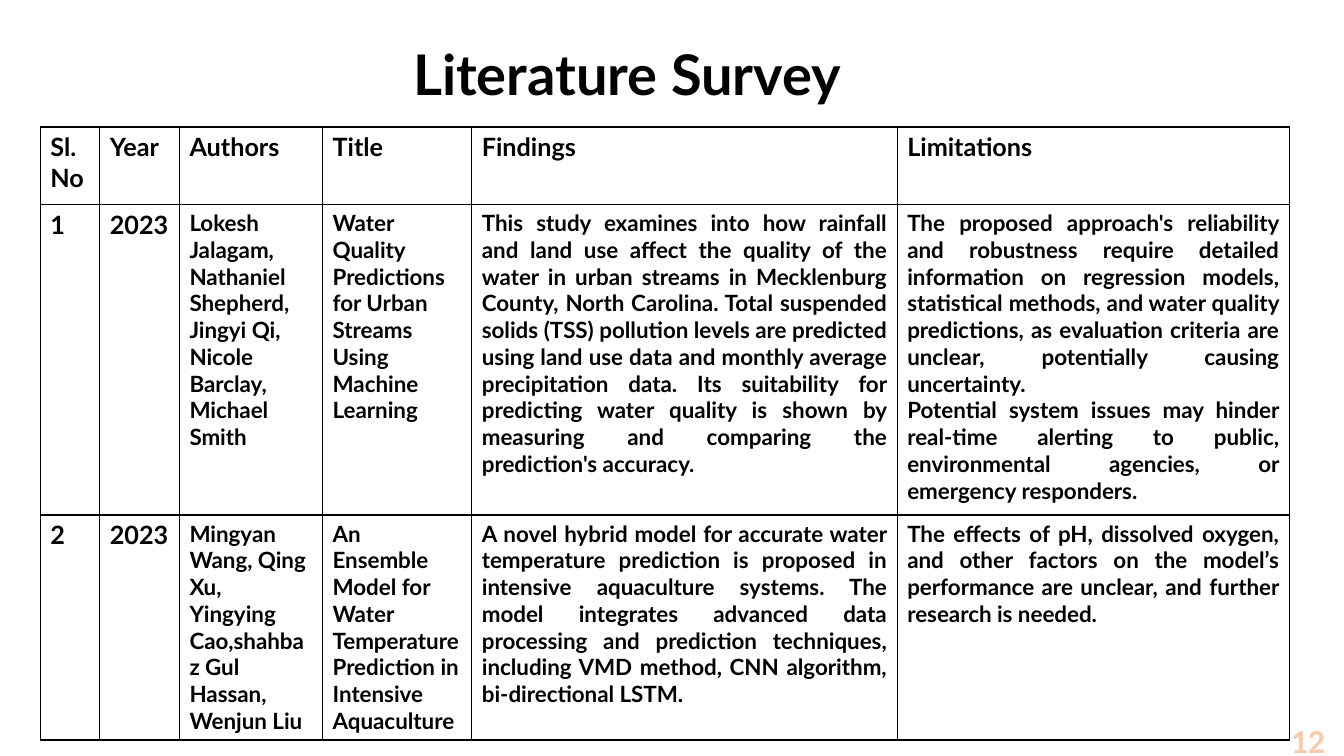
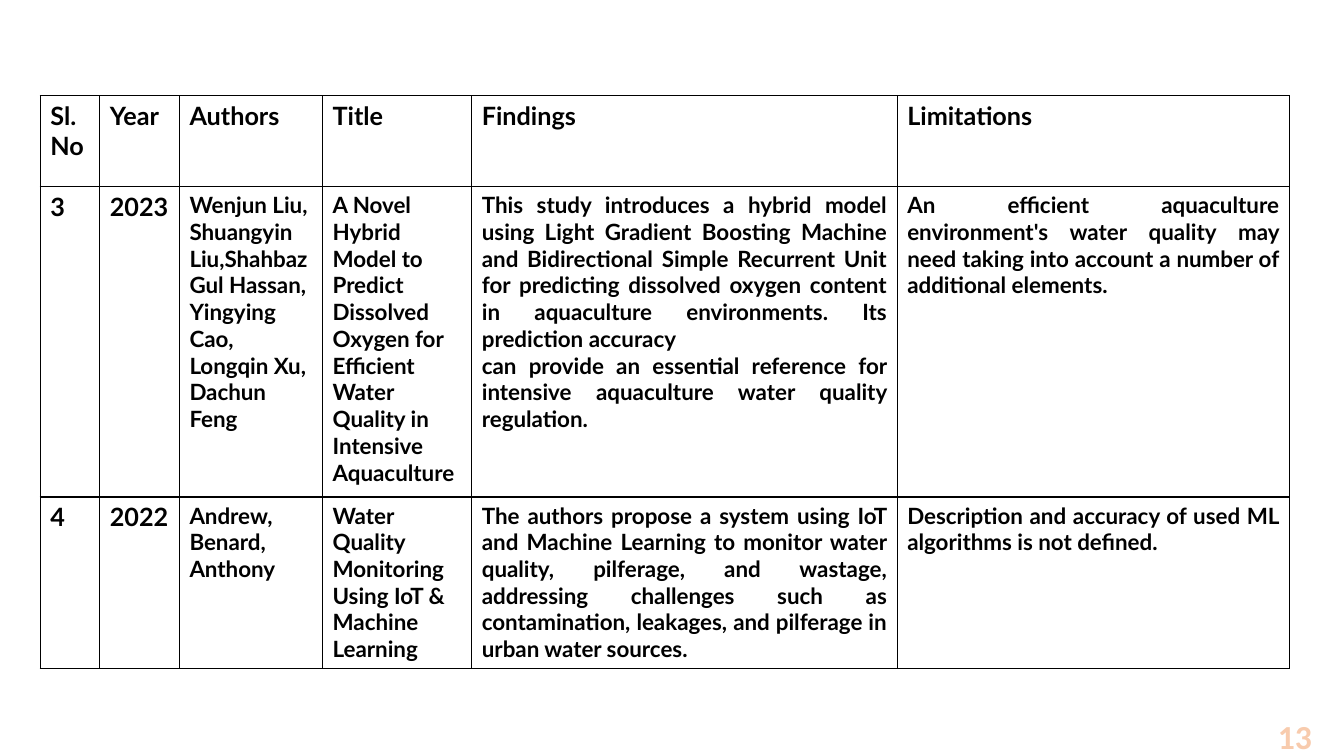
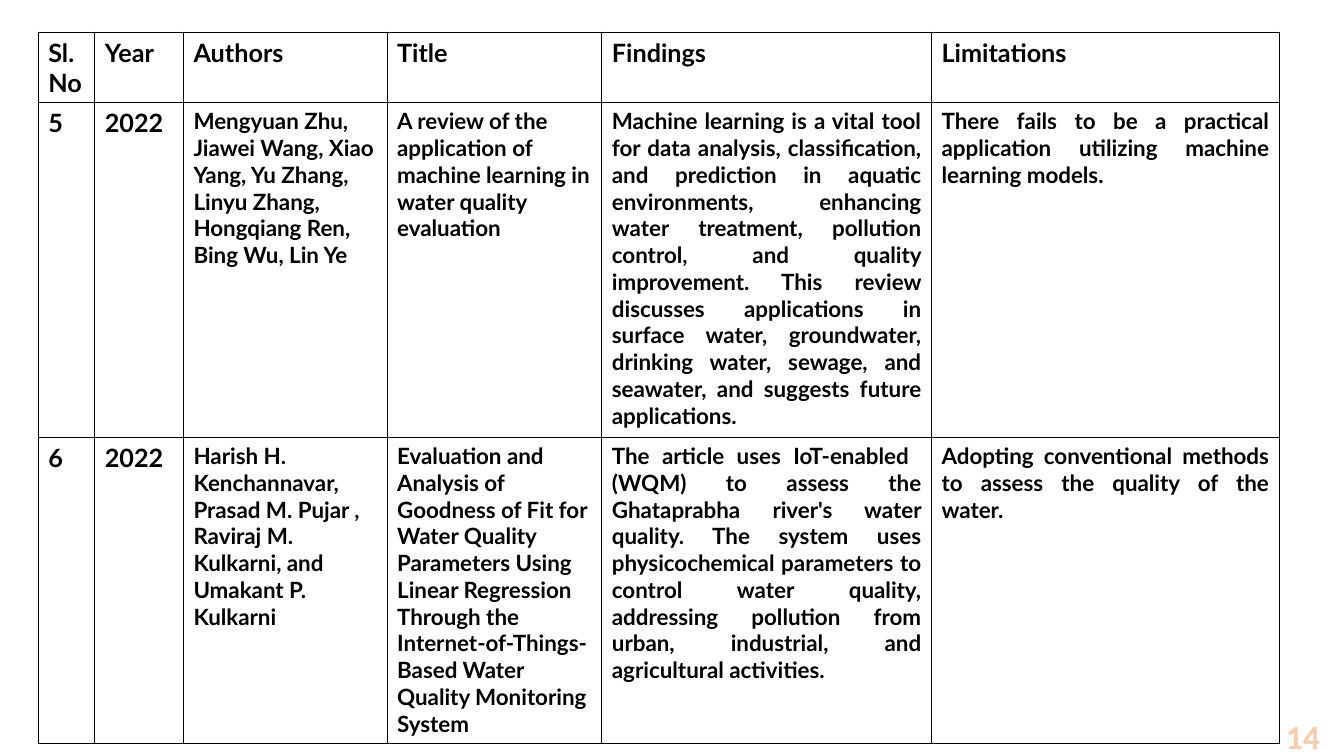
from lxml import etree
from pptx import Presentation
from pptx.dml.color import RGBColor
from pptx.enum import text
from pptx.oxml import ns
from pptx.util import Inches, Pt

BLACK = RGBColor(0x00, 0x00, 0x00)
WHITE = RGBColor(0xFF, 0xFF, 0xFF)
PEACH = RGBColor(0xF8, 0xCB, 0xAD)
ORANGE = RGBColor(0xED, 0x7D, 0x31)

TITLE_FONT = {"name": "Lato", "size": Pt(40), "bold": True}
LABEL_FONT = {"name": "Lato", "size": Pt(18), "bold": True}
BODY_FONT = {"name": "Lato", "size": Pt(16), "bold": True}
NUMBER_FONT = {"name": "Calibri", "size": Pt(24), "bold": True}

HEADINGS = ["Sl.No", "Year", "Authors", "Title", "Findings", "Limitations"]
FIRST_BODY_COLUMN = 2
FIRST_JUSTIFIED_COLUMN = 4
NARROW_COLUMNS = [0.59, 0.79, 1.42, 1.48, 4.22, 3.89]
WIDE_COLUMNS = [0.56, 0.88, 2.02, 2.13, 3.27, 3.45]

# A cell holds its paragraphs, one to a line.
SURVEYS = [
    {
        "title": "Literature Survey",
        "number": ("12", 10.24, 7.14),
        "position": (0.4, 1.26),
        "columns": NARROW_COLUMNS,
        "rows": [0.77, 3.08, 2.23],
        "studies": [
            ["1", "2023",
             "Lokesh Jalagam, Nathaniel Shepherd, Jingyi Qi, Nicole Barclay, "
             "Michael Smith",
             "Water Quality Predictions for Urban Streams Using Machine Learning",
             "This study examines into how rainfall and land use affect the "
             "quality of the water in urban streams in Mecklenburg County, North "
             "Carolina. Total suspended solids (TSS) pollution levels are "
             "predicted using land use data and monthly average precipitation "
             "data. Its suitability for predicting water quality is shown by "
             "measuring and comparing the prediction's accuracy.",
             "The proposed approach's reliability and robustness require "
             "detailed information on regression models, statistical methods, "
             "and water quality predictions, as evaluation criteria are "
             "unclear, potentially causing uncertainty.\n"
             "Potential system issues may hinder real-time alerting to public, "
             "environmental agencies, or emergency responders."],
            ["2", "2023",
             "Mingyan Wang, Qing Xu, Yingying Cao,shahbaz Gul Hassan, Wenjun Liu",
             "An Ensemble Model for Water Temperature Prediction in Intensive "
             "Aquaculture",
             "A novel hybrid model for accurate water temperature prediction is "
             "proposed in intensive aquaculture systems. The model integrates "
             "advanced data processing and prediction techniques, including VMD "
             "method, CNN algorithm, bi-directional LSTM.",
             "The effects of pH, dissolved oxygen, and other factors on the "
             "model’s performance are unclear, and further research is needed."],
        ],
    },
    {
        "number": ("13", 10.11, 7.1),
        "position": (0.4, 0.95),
        "columns": NARROW_COLUMNS,
        "rows": [0.9, 3.08, 1.7],
        "studies": [
            ["3", "2023",
             "Wenjun Liu, Shuangyin Liu,Shahbaz Gul Hassan,\n"
             "Yingying Cao, Longqin Xu, Dachun Feng",
             "A Novel Hybrid Model to Predict Dissolved Oxygen for Efficient "
             "Water Quality in Intensive Aquaculture",
             "This study introduces a hybrid model using Light Gradient Boosting "
             "Machine and Bidirectional Simple Recurrent Unit for predicting "
             "dissolved oxygen content in aquaculture environments. Its "
             "prediction accuracy\n"
             "can provide an essential reference for intensive aquaculture water "
             "quality regulation.",
             "An efficient aquaculture environment's water quality may need "
             "taking into account a number of additional elements."],
            ["4", "2022",
             "Andrew, Benard, Anthony",
             "Water Quality Monitoring Using IoT & Machine Learning",
             "The authors propose a system using IoT and Machine Learning to "
             "monitor water quality, pilferage, and wastage, addressing "
             "challenges such as contamination, leakages, and pilferage in urban "
             "water sources.",
             "Description and accuracy of used ML algorithms is not defined."],
        ],
    },
    {
        "number": ("14", 10.19, 7.1),
        "position": (0.38, 0.32),
        "columns": WIDE_COLUMNS,
        "rows": [0.7, 3.32, 3.02],
        "studies": [
            ["5", "2022",
             "Mengyuan Zhu, Jiawei Wang, Xiao Yang, Yu Zhang, Linyu Zhang, "
             "Hongqiang Ren, Bing Wu, Lin Ye",
             "A review of the application of machine learning in water quality "
             "evaluation",
             "Machine learning is a vital tool for data analysis, "
             "classification, and prediction in aquatic environments, enhancing "
             "water treatment, pollution control, and quality improvement. This "
             "review discusses applications in surface water, groundwater, "
             "drinking water, sewage, and seawater, and suggests future "
             "applications.",
             "There fails to be a practical application utilizing machine "
             "learning models."],
            ["6", "2022",
             "Harish H. Kenchannavar, Prasad M. Pujar , Raviraj M. Kulkarni, and "
             "Umakant P. Kulkarni",
             "Evaluation and Analysis of Goodness of Fit for Water Quality "
             "Parameters Using Linear Regression Through the "
             "Internet-of-Things-Based Water Quality Monitoring System",
             "The article uses IoT-enabled  (WQM) to assess the Ghataprabha "
             "river's water quality. The system uses physicochemical parameters "
             "to control water quality, addressing pollution from urban, "
             "industrial, and agricultural activities.",
             "Adopting conventional methods to assess the quality of the water."],
        ],
    },
]


def write(frame, words, font, color=BLACK, alignment=None):
    """Fill a text frame, one paragraph per line of words."""
    frame.text = words
    for paragraph in frame.paragraphs:
        paragraph.alignment = alignment
        for run in paragraph.runs:
            for name, value in font.items():
                setattr(run.font, name, value)
            run.font.color.rgb = color


def make_line(tag, color, width):
    line = etree.Element(ns.qn(tag), w=str(Pt(width)))
    fill = etree.SubElement(line, ns.qn("a:solidFill"))
    etree.SubElement(fill, ns.qn("a:srgbClr"), val=str(color))
    return line


def add_text(slide, box, words, font, color, alignment):
    shape = slide.shapes.add_textbox(*map(Inches, box))
    frame = shape.text_frame
    frame.word_wrap = True
    frame.vertical_anchor = text.MSO_ANCHOR.MIDDLE
    write(frame, words, font, color, alignment)
    return frame.paragraphs[0]


def add_title(slide, words):
    paragraph = add_text(slide, (1.52, 0.27, 9.4, 0.99), words, TITLE_FONT,
                         BLACK, text.PP_ALIGN.CENTER)
    paragraph.line_spacing = 0.9


def add_slide_number(slide, number, left, top):
    paragraph = add_text(slide, (left, top, 3, 0.4), number, NUMBER_FONT,
                         PEACH, text.PP_ALIGN.RIGHT)
    properties = paragraph.runs[0].font._element
    properties.insert(0, make_line("a:ln", ORANGE, 1.75))


def style_cell(cell):
    cell.fill.solid()
    cell.fill.fore_color.rgb = WHITE
    properties = cell._tc.get_or_add_tcPr()
    for index, side in enumerate("LRTB"):
        properties.insert(index, make_line(f"a:ln{side}", BLACK, 1))


def add_survey_table(slide, position, columns, rows, studies):
    box = (*position, sum(columns), sum(rows))
    table = slide.shapes.add_table(len(rows), len(columns),
                                   *map(Inches, box)).table
    table.first_row = table.horz_banding = False
    for column, width in zip(table.columns, columns):
        column.width = Inches(width)
    for row, height in zip(table.rows, rows):
        row.height = Inches(height)
    for row_index, entries in enumerate([HEADINGS, *studies]):
        for column_index, words in enumerate(entries):
            cell = table.cell(row_index, column_index)
            style_cell(cell)
            is_body = row_index > 0 and column_index >= FIRST_BODY_COLUMN
            justified = is_body and column_index >= FIRST_JUSTIFIED_COLUMN
            write(cell.text_frame, words, BODY_FONT if is_body else LABEL_FONT,
                  alignment=text.PP_ALIGN.JUSTIFY if justified else None)


def add_survey_slide(presentation, survey):
    slide = presentation.slides.add_slide(presentation.slide_layouts[6])
    if "title" in survey:
        add_title(slide, survey["title"])
    add_survey_table(slide, survey["position"], survey["columns"],
                     survey["rows"], survey["studies"])
    add_slide_number(slide, *survey["number"])


def main():
    presentation = Presentation()
    presentation.slide_width = Inches(13.33)
    presentation.slide_height = Inches(7.5)
    for survey in SURVEYS:
        add_survey_slide(presentation, survey)
    presentation.save("out.pptx")


if __name__ == "__main__":
    main()
